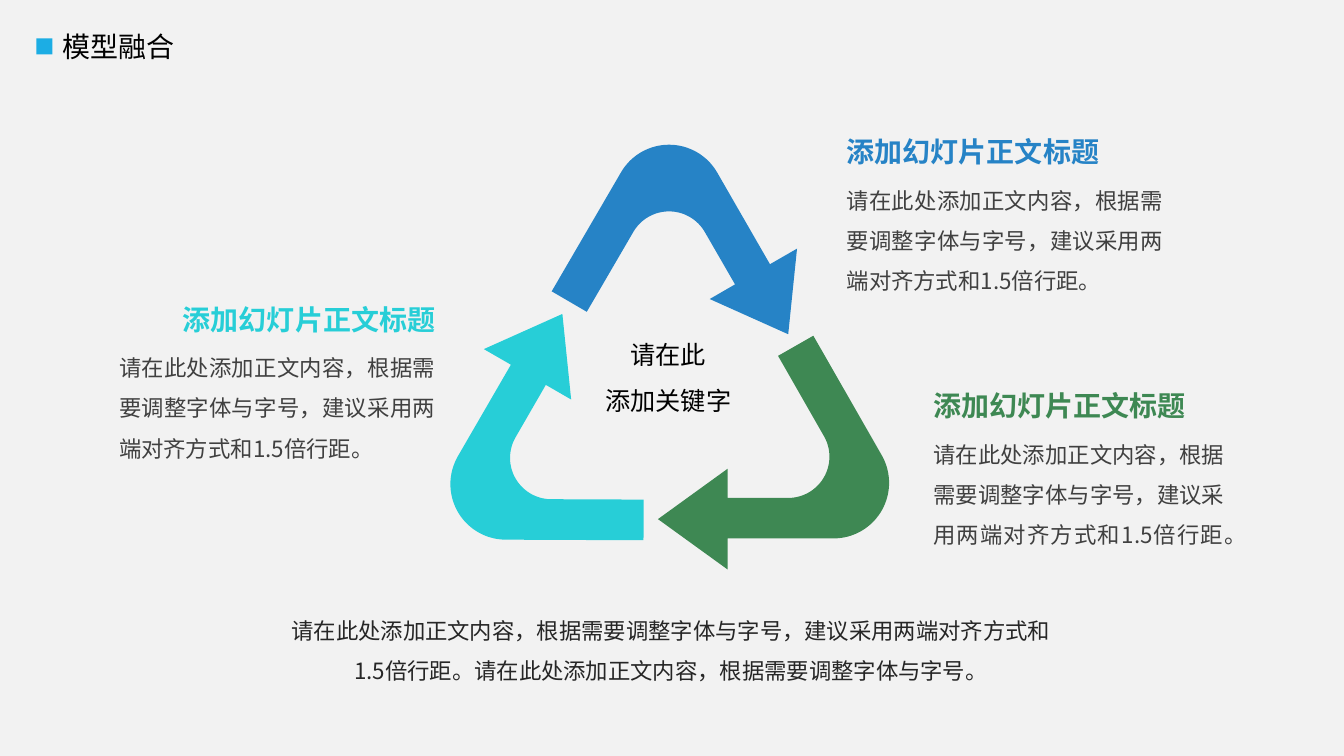
from dataclasses import dataclass
from math import cos, radians, sin

from lxml import etree
from pptx import Presentation
from pptx.dml.color import RGBColor
from pptx.enum.lang import MSO_LANGUAGE_ID
from pptx.enum.shapes import MSO_SHAPE
from pptx.enum.text import MSO_ANCHOR, MSO_AUTO_SIZE, PP_ALIGN
from pptx.oxml.ns import qn
from pptx.shapes.base import BaseShape
from pptx.slide import Slide
from pptx.util import Pt

LEFT, RIGHT, MID, JUST = PP_ALIGN.LEFT, PP_ALIGN.RIGHT, PP_ALIGN.CENTER, PP_ALIGN.JUSTIFY
RECT = MSO_SHAPE.RECTANGLE
TOP = MSO_ANCHOR.TOP
GROW = MSO_AUTO_SIZE.SHAPE_TO_FIT_TEXT
ZH = MSO_LANGUAGE_ID.SIMPLIFIED_CHINESE
NOTO = "Noto Sans CJK SC"
HUES = {
    "back": "F2F2F2", "mark": "1CADE4", "black": "000000", "body": "404040",
    "foot": "262626", "blue": "2683C6", "green": "3E8853", "aqua": "27CED7",
}
HEAD = "添加幻灯片正文标题"
BODY = "请在此处添加正文内容，根据需要调整字体与字号，建议采用两端对齐方式和1.5倍行距。"
TAIL = "请在此处添加正文内容，根据需要调整字体与字号。"
HEAD_WIDE = 181.4
BODY_DROP = 27.4


@dataclass
class Look:
    hue: str
    size: float
    align: PP_ALIGN = LEFT
    face: str = NOTO
    bold: bool = False
    lead: float = 1.0
    after: float = 0
    side: float = 0
    wrap: bool = False


@dataclass
class Topic:
    x: float
    y: float
    wide: float
    hue: str
    align: PP_ALIGN = LEFT


@dataclass
class Arrow:
    hue: str
    turn: float
    x: float
    y: float


TOPICS = [
    Topic(604.8, 92.9, 226, "blue"),
    Topic(666.7, 274.3, 208, "green"),
    Topic(85, 212.4, 226, "aqua", RIGHT),
]
ARROWS = [
    Arrow("blue", -120, 478, 278.6),
    Arrow("green", 0, 478, 277.2),
    Arrow("aqua", 120, 478.8, 278),
]


def tint(name: str) -> RGBColor:
    """Return a named colour."""
    return RGBColor.from_string(HUES[name])


def paint(shape: BaseShape, hue: str) -> None:
    """Give a shape a flat fill with no line or shadow."""
    shape.shadow.inherit = False
    shape.fill.solid()
    shape.fill.fore_color.rgb = tint(hue)
    shape.line.fill.background()


def write(shape: BaseShape, lines: list[str], look: Look) -> None:
    """Fill a text shape with styled paragraphs."""
    frame = shape.text_frame
    frame_set = {
        "word_wrap": look.wrap, "auto_size": GROW, "vertical_anchor": TOP,
        "margin_left": Pt(look.side), "margin_right": Pt(look.side),
        "margin_top": Pt(3.6), "margin_bottom": Pt(3.6),
    }
    para_set = {
        "alignment": look.align, "line_spacing": look.lead, "space_after": Pt(look.after),
    }
    font_set = {
        "name": look.face, "size": Pt(look.size), "bold": look.bold, "language_id": ZH,
    }
    for key, val in frame_set.items():
        setattr(frame, key, val)
    for i, line in enumerate(lines):
        para = frame.add_paragraph() if i else frame.paragraphs[0]
        run = para.add_run()
        run.text = line
        for item, group in ((para, para_set), (run.font, font_set)):
            for key, val in group.items():
                setattr(item, key, val)
        run.font.color.rgb = tint(look.hue)
        etree.SubElement(run.font._element, qn("a:ea"), typeface=NOTO)


def label(slide: Slide, box: tuple[float, ...], lines: list[str], look: Look) -> None:
    """Add a text box."""
    write(slide.shapes.add_textbox(*map(Pt, box)), lines, look)


def arc(x: float, y: float, size: float, start: int, stop: int) -> list[tuple[float, float]]:
    """Return points along a circular arc."""
    step = 3 if stop > start else -3
    turns = [radians(a) for a in range(start, stop + step, step)]
    return [(x + size * cos(a), y + size * sin(a)) for a in turns]


def draw(slide: Slide, arrow: Arrow) -> None:
    """Draw one bent arrow turned about the centre of the cycle."""
    shape = [
        (77.8, -23), (103, -37.4), *arc(117.4, 67.7, 39.7, -30, 90),
        (41.8, 107.3), (41.8, 129.6), (-8, 93.6), (41.8, 57.6),
        (41.8, 78.5), *arc(85, 49, 29.5, 90, -30),
    ]
    c, s = cos(radians(arrow.turn)), sin(radians(arrow.turn))
    spots = [
        (Pt(arrow.x + x * c - y * s), Pt(arrow.y + x * s + y * c)) for x, y in shape
    ]
    pen = slide.shapes.build_freeform(*spots[0], scale=1.0)
    pen.add_line_segments(spots[1:], close=True)
    paint(pen.convert_to_shape(), arrow.hue)


def main() -> None:
    """Build the slide and save it."""
    deck = Presentation()
    deck.slide_width, deck.slide_height = Pt(960), Pt(540)
    slide = deck.slides.add_slide(deck.slide_layouts[5])
    slide.background.fill.solid()
    slide.background.fill.fore_color.rgb = tint("back")

    paint(slide.shapes.add_shape(RECT, Pt(26), Pt(27.4), Pt(11.5), Pt(11.5)), "mark")
    title = slide.shapes.title
    place = {"left": 37.4, "top": 17.3, "width": 95, "height": 31.7}
    for key, val in place.items():
        setattr(title, key, Pt(val))
    write(title, ["模型融合"], Look("black", 20, side=7.2))

    for arrow in ARROWS:
        draw(slide, arrow)
    body = Look("body", 16, JUST, lead=1.5, after=6, wrap=True)
    for topic in TOPICS:
        label(slide, (topic.x, topic.y + BODY_DROP, topic.wide, 91.4), [BODY], body)
        x = topic.x + topic.wide - HEAD_WIDE if topic.align == RIGHT else topic.x
        head = Look(topic.hue, 20, topic.align, "Calibri", True)
        label(slide, (x, topic.y, HEAD_WIDE, 31.7), [HEAD], head)

    key = Look("black", 18, MID, lead=1.5)
    label(slide, (432, 228.2, 90.7, 72.7), ["请在此", "添加关键字"], key)
    foot = Look("foot", 16, MID, lead=1.5, side=7.2, wrap=True)
    label(slide, (191.5, 427.7, 576, 62), [BODY + TAIL], foot)
    deck.save("out.pptx")


if __name__ == "__main__":
    main()
